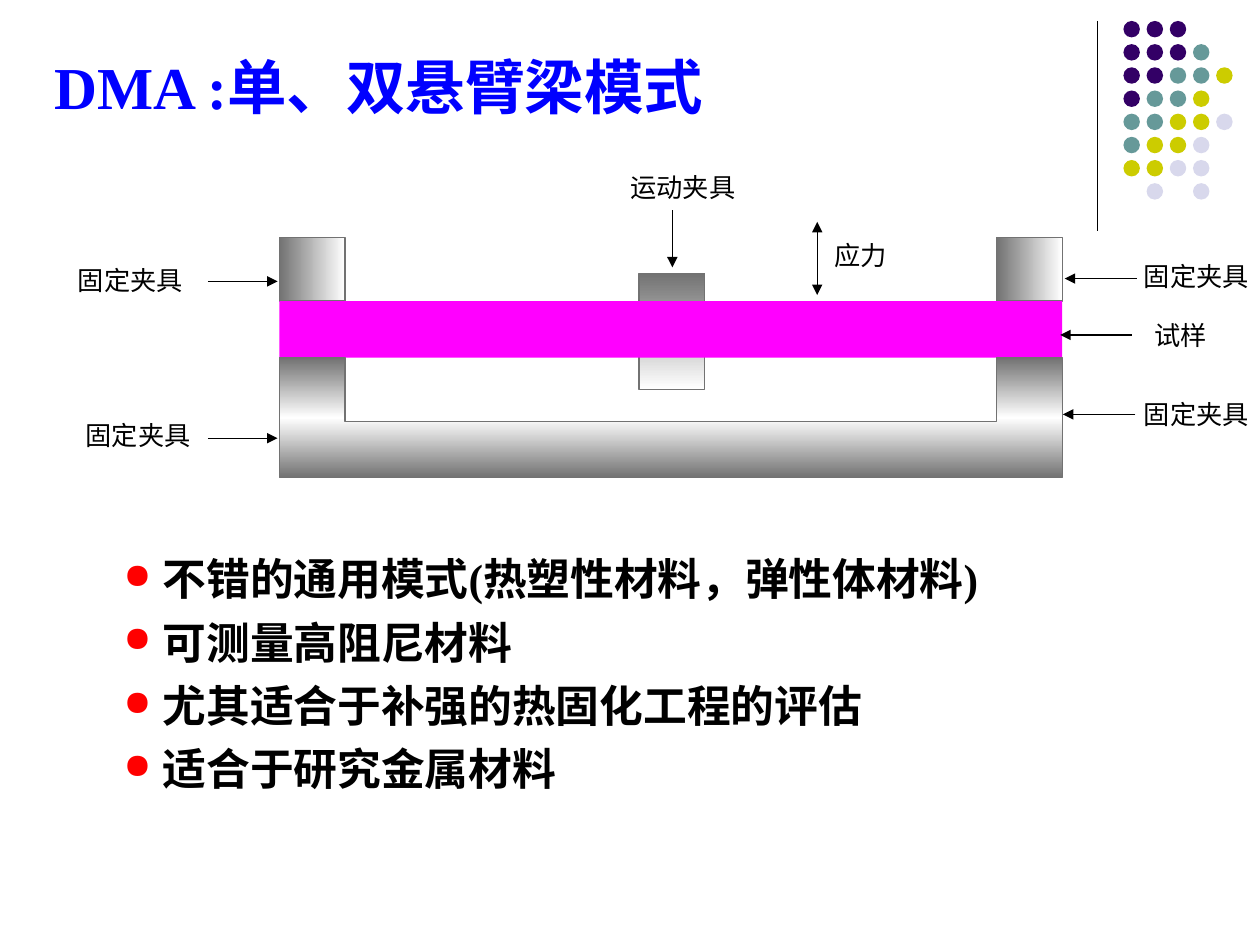
from typing import NamedTuple

from lxml.etree import SubElement
from pptx import Presentation
from pptx.dml.color import RGBColor
from pptx.enum.shapes import MSO_CONNECTOR, MSO_SHAPE
from pptx.enum.text import MSO_ANCHOR, PP_ALIGN
from pptx.oxml.ns import qn
from pptx.util import Pt

FONT = "Times New Roman"
COLORS = {
    "ink": "000000", "title": "0000FF", "bullet": "FF0000",
    "sample": "FF00FF", "dark": "727272", "light": "FFFFFF",
    "P": "330066", "T": "669999", "Y": "CCCC00", "L": "D8D8EC",
}
DOTS = ("PPP", "PPPT", "PPTTY", "PTTY", "TTYYL", "TYYL", "YYLL", " L L")
POINTS = (
    "不错的通用模式(热塑性材料，弹性体材料)",
    "可测量高阻尼材料",
    "尤其适合于补强的热固化工程的评估",
    "适合于研究金属材料",
)


class Label(NamedTuple):
    text: str
    left: float
    top: float
    width: float
    height: float
    align: PP_ALIGN = PP_ALIGN.LEFT
    free: bool = False  # unwrapped, top anchored, with inner margins


class Block(NamedTuple):
    left: float
    top: float
    width: float
    height: float
    stops: tuple[str, ...]
    angle: int


class Arrow(NamedTuple):
    x1: float
    y1: float
    x2: float
    y2: float
    both: bool = False


BLOCKS = (
    Block(159.6, 135.6, 37.6, 36.4, ("light", "dark"), 180),
    Block(569.4, 135.6, 37.6, 36.4, ("light", "dark"), 180),
    Block(365.2, 156.2, 37.6, 66.4, ("dark", "light"), 90),
)
FRAME = ((607, 204.4), (569.4, 204.4), (569.4, 241), (197.2, 241),
         (197.2, 204.4), (159.6, 204.4), (159.6, 273), (607, 273))
LABELS = (
    Label("应力", 476.6, 127.4, 46, 27.4),
    Label("固定夹具", 36, 141.8, 77, 27.4, PP_ALIGN.CENTER),
    Label("试样", 659.6, 173.6, 60.4, 26.6),
    Label("运动夹具", 348.4, 88.6, 83.6, 27.4, PP_ALIGN.CENTER),
    Label("固定夹具", 42.6, 236.2, 72.8, 24.4, free=True),
    Label("固定夹具", 647.2, 145.4, 72.8, 24.4, free=True),
    Label("固定夹具", 647.2, 224.6, 72.8, 24.4, free=True),
)
ARROWS = (
    Arrow(384.2, 120.2, 384.2, 152.8),
    Arrow(467, 126.8, 467, 168.6, True),
    Arrow(118.8, 160.8, 158.6, 160.8),
    Arrow(118.8, 250.4, 158.6, 250.4),
    Arrow(649.6, 159.2, 608.4, 159.2),
    Arrow(648.8, 236.8, 607.4, 236.8),
    Arrow(646.8, 191.4, 605.8, 191.4),
)


def rgb(key: str) -> RGBColor:
    return RGBColor.from_string(COLORS[key])


def style(run, size: float, color: str, bold: bool = False) -> None:
    run.font.name, run.font.size = FONT, Pt(size)
    run.font.bold, run.font.color.rgb = bold, rgb(color)


def add_box(slide, left, top, width, height, anchor):
    box = slide.shapes.add_textbox(Pt(left), Pt(top), Pt(width), Pt(height))
    frame = box.text_frame
    frame.word_wrap, frame.vertical_anchor = True, anchor
    frame.margin_left = frame.margin_right = Pt(0)
    frame.margin_top = frame.margin_bottom = Pt(0)
    return frame


def add_flat(slide, kind, left, top, width, height, color: str):
    shape = slide.shapes.add_shape(kind, Pt(left), Pt(top), Pt(width), Pt(height))
    shape.shadow.inherit = False
    shape.fill.solid()
    shape.fill.fore_color.rgb = rgb(color)
    shape.line.fill.background()
    return shape


def shade(shape, stops: tuple[str, ...], angle: int) -> None:
    """Give a shape a clockwise linear gradient and a thin dark edge."""
    shape.shadow.inherit = False
    shape.line.color.rgb, shape.line.width = rgb("dark"), Pt(0.71)
    shape.fill.gradient()
    grad = shape._element.spPr.find(qn("a:gradFill"))
    for child in list(grad):
        grad.remove(child)
    row = SubElement(grad, qn("a:gsLst"))
    for i, key in enumerate(stops):
        stop = SubElement(row, qn("a:gs"), pos=str(100000 * i // (len(stops) - 1)))
        SubElement(stop, qn("a:srgbClr"), val=COLORS[key])
    SubElement(grad, qn("a:lin"), ang=str(angle * 60000), scaled="0")


def add_block(slide, block: Block) -> None:
    shape = slide.shapes.add_shape(
        MSO_SHAPE.RECTANGLE, Pt(block.left), Pt(block.top),
        Pt(block.width), Pt(block.height))
    shade(shape, block.stops, block.angle)


def add_frame(slide) -> None:
    path = [(Pt(x), Pt(y)) for x, y in FRAME]
    maker = slide.shapes.build_freeform(*path[0])
    maker.add_line_segments(path[1:], close=True)
    shade(maker.convert_to_shape(), ("dark", "light", "dark"), 90)


def add_line(slide, x1, y1, x2, y2, width: float):
    line = slide.shapes.add_connector(
        MSO_CONNECTOR.STRAIGHT, Pt(x1), Pt(y1), Pt(x2), Pt(y2))
    line.line.color.rgb, line.line.width = rgb("ink"), Pt(width)
    SubElement(line._element.spPr, qn("a:effectLst"))
    return line


def add_arrow(slide, arrow: Arrow) -> None:
    line = add_line(slide, arrow.x1, arrow.y1, arrow.x2, arrow.y2, 0.71)
    edge = line.line._get_or_add_ln()
    for end in ("headEnd", "tailEnd") if arrow.both else ("tailEnd",):
        SubElement(edge, qn(f"a:{end}"), type="triangle")


def add_label(slide, label: Label) -> None:
    anchor = MSO_ANCHOR.TOP if label.free else MSO_ANCHOR.BOTTOM
    frame = add_box(slide, label.left, label.top, label.width, label.height, anchor)
    if label.free:
        frame.word_wrap = False
        frame.margin_left = frame.margin_right = Pt(6.4)
        frame.margin_top = frame.margin_bottom = Pt(3.2)
    frame.text = label.text
    para = frame.paragraphs[0]
    para.alignment = label.align
    style(para.runs[0], 15, "ink")


def add_dots(slide) -> None:
    for j, row in enumerate(DOTS):
        for i, key in enumerate(row):
            if key != " ":
                add_flat(slide, MSO_SHAPE.OVAL, 642 + 13.24 * i,
                         12 + 13.24 * j, 9.4, 9.4, key)


def add_points(slide) -> None:
    frame = add_box(slide, 70.6, 315.4, 593.2, 110.8, MSO_ANCHOR.TOP)
    frame.text = "\n".join(POINTS)
    for i, para in enumerate(frame.paragraphs):
        para.space_before, para.space_after = Pt(3.1 if i else 0), Pt(3.1)
        props = para._p.get_or_add_pPr()
        props.set("marL", str(Pt(22.4)))
        props.set("indent", str(-Pt(22.4)))
        tint = SubElement(props, qn("a:buClr"))
        SubElement(tint, qn("a:srgbClr"), val=COLORS["bullet"])
        SubElement(props, qn("a:buSzPct"), val="80000")
        SubElement(props, qn("a:buChar"), char="●")
        style(para.runs[0], 25, "ink", True)


def main() -> None:
    deck = Presentation()
    deck.slide_width, deck.slide_height = Pt(720), Pt(540)
    slide = deck.slides.add_slide(deck.slide_layouts[6])
    add_line(slide, 627, 12, 627, 132, 0.75)
    add_dots(slide)
    title = add_box(slide, 31, 15.2, 640, 54, MSO_ANCHOR.BOTTOM)
    title.text = "DMA :单、双悬臂梁模式"
    style(title.paragraphs[0].runs[0], 34, "title", True)
    add_points(slide)
    for block in BLOCKS:
        add_block(slide, block)
    add_flat(slide, MSO_SHAPE.RECTANGLE, 159.6, 172, 447.4, 32.4, "sample")
    add_frame(slide)
    for label in LABELS:
        add_label(slide, label)
    for arrow in ARROWS:
        add_arrow(slide, arrow)
    deck.save("out.pptx")


if __name__ == "__main__":
    main()
